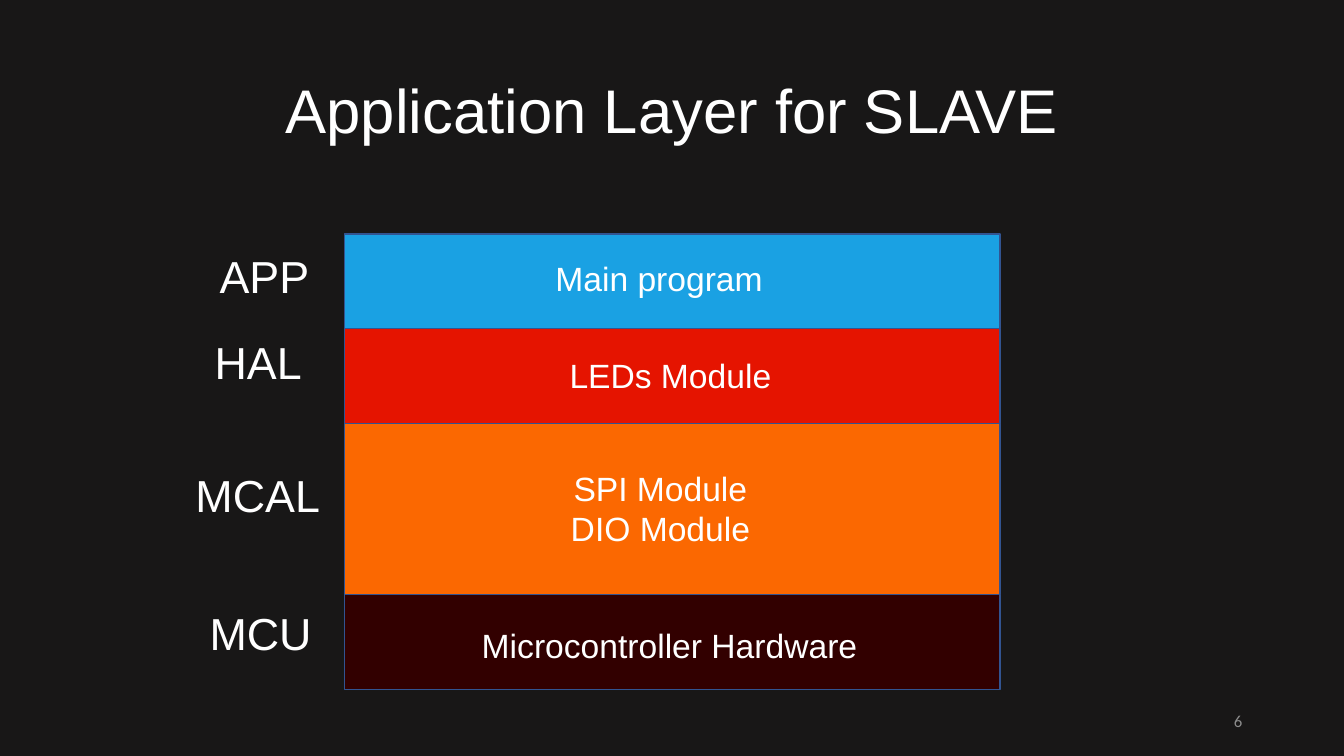
"""Build the slide showing the software layers of the slave application."""
from pptx import Presentation
from pptx.dml.color import RGBColor
from pptx.enum import shapes, text
from pptx.util import Inches, Pt

BACKGROUND = RGBColor(0x18, 0x17, 0x17)
WHITE = RGBColor(0xFF, 0xFF, 0xFF)
GREY = RGBColor(0x8C, 0x8C, 0x8C)
OUTLINE = RGBColor(0x32, 0x54, 0x91)
BLUE = RGBColor(0x1A, 0xA1, 0xE3)
RED = RGBColor(0xE5, 0x14, 0x00)
ORANGE = RGBColor(0xFB, 0x68, 0x01)
MAROON = RGBColor(0x32, 0x00, 0x00)

LEFT, CENTER, RIGHT = text.PP_ALIGN.LEFT, text.PP_ALIGN.CENTER, text.PP_ALIGN.RIGHT
TOP, MIDDLE = text.MSO_ANCHOR.TOP, text.MSO_ANCHOR.MIDDLE
LABEL_SPACING = {"line_spacing": 0.9, "space_before": Pt(10)}


def write(shape, words, size, align=LEFT, anchor=TOP, wrap=True,
          font_name="Arial", color=WHITE, spacing=None):
    frame = shape.text_frame
    frame.word_wrap = wrap
    frame.auto_size = text.MSO_AUTO_SIZE.NONE if wrap else text.MSO_AUTO_SIZE.SHAPE_TO_FIT_TEXT
    frame.vertical_anchor = anchor
    paragraph = frame.paragraphs[0]
    paragraph.text = words
    paragraph.alignment = align
    for name, value in (spacing or {}).items():
        setattr(paragraph, name, value)
    for run in paragraph.runs:
        for name, value in {"name": font_name, "size": Pt(size)}.items():
            setattr(run.font, name, value)
        run.font.color.rgb = color


def add_text(box, words, size, **options):
    write(slide.shapes.add_textbox(*map(Inches, box)), words, size, **options)


presentation = Presentation()
presentation.slide_width = Inches(13.33)
presentation.slide_height = Inches(7.5)
slide = presentation.slides.add_slide(presentation.slide_layouts[5])
slide.background.fill.solid()
slide.background.fill.fore_color.rgb = BACKGROUND

title = slide.shapes.title
title_place = {"left": 0.92, "top": 0.4, "width": 11.5, "height": 1.45}
for name, value in title_place.items():
    setattr(title, name, Inches(value))
write(title, "Application Layer for SLAVE", 44, align=CENTER, anchor=MIDDLE,
      spacing={"line_spacing": 0.9})

layers = [
    ("APP", (2.08, 2.48, 1.37, 0.87), "Main program", (5.41, 2.51, 2.28, 0.5), LEFT, BLUE, 0.94),
    ("HAL", (2.03, 3.33, 1.37, 0.87), "LEDs Module", (5.55, 3.47, 2.22, 0.5), LEFT, RED, 0.94),
    ("MCAL", (1.84, 4.65, 2.15, 1.17), "SPI Module\vDIO Module", (5.55, 4.59, 2, 0.91),
     CENTER, ORANGE, 1.7),
    ("MCU", (1.98, 6.02, 1.32, 0.77), "Microcontroller Hardware", (4.68, 6.15, 3.97, 0.5),
     LEFT, MAROON, 0.94),
]
layer_top = 2.32
for label, label_box, content, content_box, align, color, height in layers:
    block = slide.shapes.add_shape(shapes.MSO_SHAPE.RECTANGLE, Inches(3.42), Inches(layer_top),
                                   Inches(6.5), Inches(height))
    block.shadow.inherit = False
    block.fill.solid()
    block.fill.fore_color.rgb = color
    block.line.color.rgb = OUTLINE
    block.line.width = Pt(1)
    add_text(label_box, label, 32, spacing=LABEL_SPACING)
    add_text(content_box, content, 24, align=align, wrap=False)
    layer_top += height

add_text((9.42, 6.95, 3, 0.4), "6", 12, align=RIGHT, anchor=MIDDLE, font_name="Calibri", color=GREY)

presentation.save("out.pptx")
